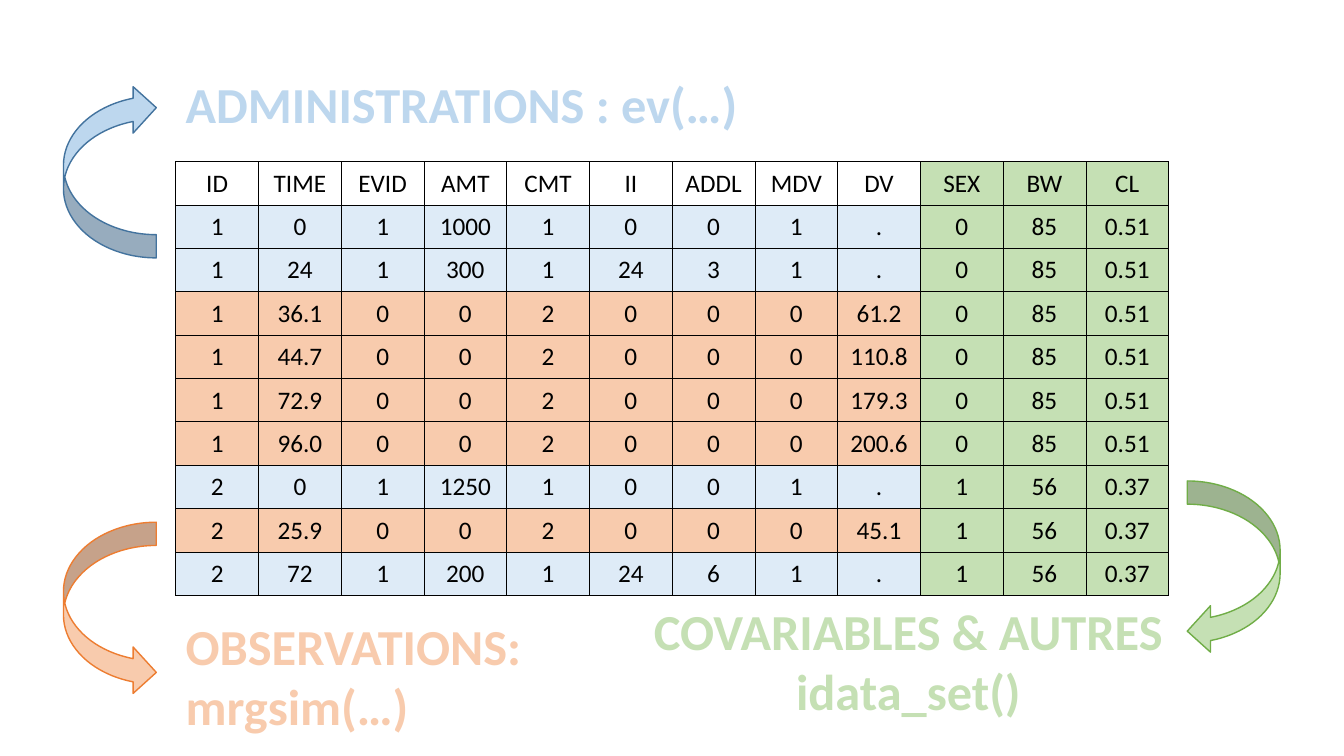
from lxml import etree
from pptx import Presentation
from pptx.dml.color import RGBColor
from pptx.enum.shapes import MSO_SHAPE
from pptx.enum.text import MSO_ANCHOR, MSO_AUTO_SIZE, PP_ALIGN
from pptx.oxml.ns import qn
from pptx.util import Cm, Pt

CURVED_ARROW = MSO_SHAPE.CURVED_RIGHT_ARROW
MIDDLE = MSO_ANCHOR.MIDDLE
FIT_SHAPE = MSO_AUTO_SIZE.SHAPE_TO_FIT_TEXT
LEFT, CENTER = PP_ALIGN.LEFT, PP_ALIGN.CENTER

FONT = "Calibri"
BLACK = RGBColor(0x00, 0x00, 0x00)
PALE_BLUE = RGBColor(0xDE, 0xEB, 0xF7)
BLUE = RGBColor(0xBD, 0xD7, 0xEE)
MID_BLUE = RGBColor(0x5B, 0x9B, 0xD5)
DARK_BLUE = RGBColor(0x43, 0x73, 0x9E)
ORANGE = RGBColor(0xF8, 0xCB, 0xAD)
DARK_ORANGE = RGBColor(0xED, 0x7D, 0x31)
GREEN = RGBColor(0xC5, 0xE0, 0xB4)
DARK_GREEN = RGBColor(0x70, 0xAD, 0x47)


def line_xml(tag, color, width):
    """Make a solid line element for a cell border or a text outline."""
    line = etree.Element(qn(tag), w=str(Pt(width)))
    fill = etree.SubElement(line, qn("a:solidFill"))
    etree.SubElement(fill, qn("a:srgbClr"), val=str(color))
    return line


def add_run(paragraph, text, size, color, bold):
    run = paragraph.add_run()
    run.text = text
    run.font.name = FONT
    run.font.size = Pt(size)
    run.font.bold = bold
    run.font.color.rgb = color
    return run


presentation = Presentation()
presentation.slide_width = Cm(33.87)
presentation.slide_height = Cm(19.05)
slide = presentation.slides.add_slide(presentation.slide_layouts[6])

# Dataset table
HEADERS = "ID TIME EVID AMT CMT II ADDL MDV DV SEX BW CL".split()
RECORDS = [
    "1 0 1 1000 1 0 0 1 .",
    "1 24 1 300 1 24 3 1 .",
    "1 36.1 0 0 2 0 0 0 61.2",
    "1 44.7 0 0 2 0 0 0 110.8",
    "1 72.9 0 0 2 0 0 0 179.3",
    "1 96.0 0 0 2 0 0 0 200.6",
    "2 0 1 1250 1 0 0 1 .",
    "2 25.9 0 0 2 0 0 0 45.1",
    "2 72 1 200 1 24 6 1 .",
]
COVARIATES = {"1": ["0", "85", "0.51"], "2": ["1", "56", "0.37"]}
FIRST_COVARIATE = HEADERS.index("SEX")
EVID = HEADERS.index("EVID")

rows = [HEADERS]
for record in RECORDS:
    values = record.split()
    rows.append(values + COVARIATES[values[0]])

table_width, table_height = Cm(25.03), Cm(10.93)
table = slide.shapes.add_table(len(rows), len(HEADERS), Cm(4.43), Cm(4.07),
                               table_width, table_height).table
table.first_row = False
table.horz_banding = False
for column in table.columns:
    column.width = table_width // len(HEADERS)
for row in table.rows:
    row.height = table_height // len(rows)

for row_index, values in enumerate(rows):
    for column_index, value in enumerate(values):
        cell = table.cell(row_index, column_index)
        cell.vertical_anchor = MIDDLE
        cell.margin_left = cell.margin_right = cell.margin_top = Cm(0.02)
        cell.margin_bottom = 0
        paragraph = cell.text_frame.paragraphs[0]
        paragraph.alignment = CENTER
        add_run(paragraph, value, 18, BLACK, False)

        properties = cell._tc.get_or_add_tcPr()
        for side in ("a:lnL", "a:lnR", "a:lnT", "a:lnB"):
            properties.append(line_xml(side, BLACK, 0.5))

        if column_index >= FIRST_COVARIATE:
            cell.fill.solid()
            cell.fill.fore_color.rgb = GREEN
        elif row_index == 0:
            cell.fill.background()
        else:
            cell.fill.solid()
            is_dose = values[EVID] == "1"
            cell.fill.fore_color.rgb = PALE_BLUE if is_dose else ORANGE

# Curved arrows: left, top, rotation, flipped, fill, line
ARROWS = [
    (1.6, 2.13, 0, True, BLUE, DARK_BLUE),
    (1.6, 13.16, 0, False, ORANGE, DARK_ORANGE),
    (29.92, 12.12, 180, True, GREEN, DARK_GREEN),
]
for left, top, rotation, flipped, fill_color, line_color in ARROWS:
    arrow = slide.shapes.add_shape(CURVED_ARROW, Cm(left), Cm(top),
                                   Cm(2.34), Cm(4.37))
    arrow.shadow.inherit = False
    arrow.rotation = rotation
    if flipped:
        arrow._element.spPr.xfrm.set("flipV", "1")
    arrow.fill.solid()
    arrow.fill.fore_color.rgb = fill_color
    arrow.line.color.rgb = line_color
    arrow.line.width = Pt(1)

# Labels: left, top, width, height, wrap, alignment, colour, outline, lines
LABELS = [
    (4.43, 15.37, 9.35, 3.33, False, LEFT, ORANGE, DARK_ORANGE,
     ["OBSERVATIONS:", "mrgsim(…)"]),
    (15.72, 14.99, 14.35, 3.33, True, CENTER, GREEN, DARK_GREEN,
     ["COVARIABLES & AUTRES", "idata_set()"]),
    (4.43, 1.73, 14.58, 1.8, False, LEFT, BLUE, MID_BLUE,
     ["ADMINISTRATIONS : ev(…)"]),
]
for left, top, width, height, wrap, alignment, color, outline, lines in LABELS:
    label = slide.shapes.add_textbox(Cm(left), Cm(top), Cm(width), Cm(height))
    frame = label.text_frame
    frame.word_wrap = wrap
    frame.auto_size = FIT_SHAPE
    for line_index, text in enumerate(lines):
        paragraph = frame.add_paragraph() if line_index else frame.paragraphs[0]
        paragraph.alignment = alignment
        run = add_run(paragraph, text, 36, color, True)
        run.font._element.insert(0, line_xml("a:ln", outline, 1.75))

presentation.save("out.pptx")
